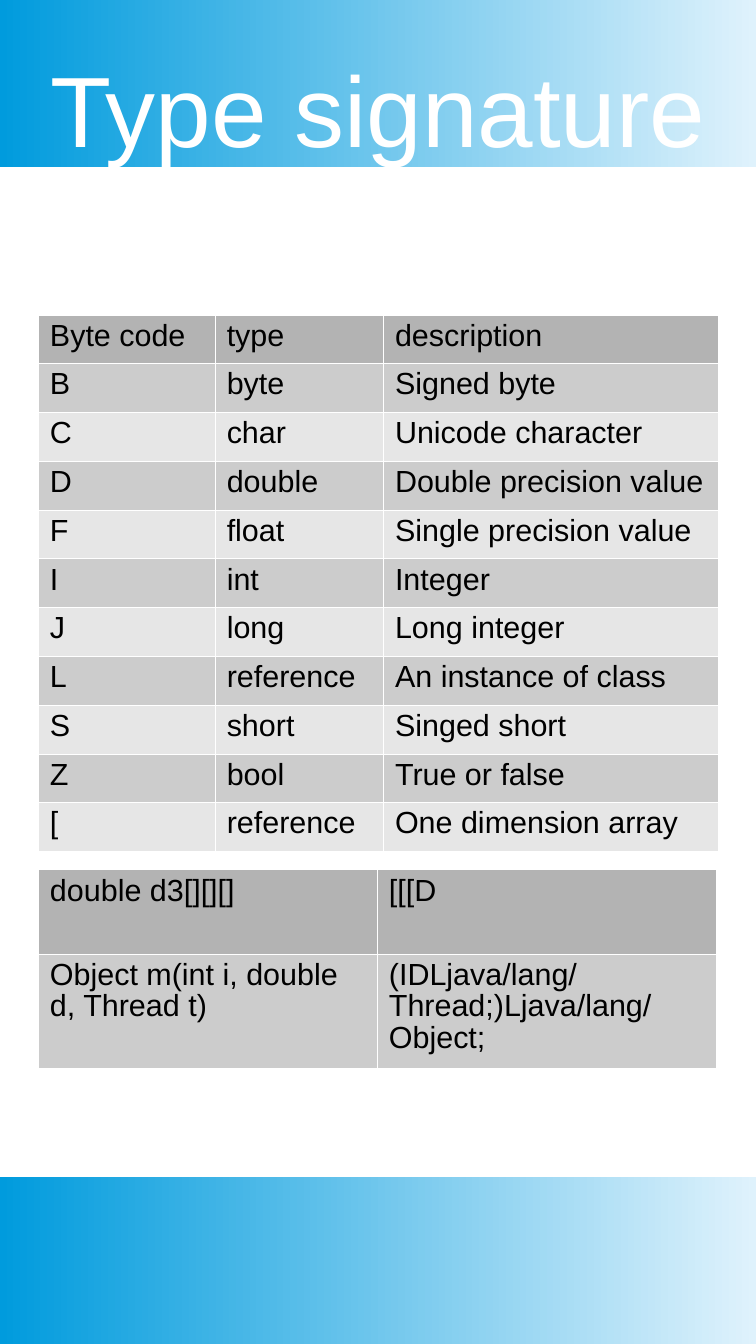
from dataclasses import dataclass

from lxml import etree
from pptx import Presentation
from pptx import util as u
from pptx.dml.color import RGBColor
from pptx.enum import shapes, text
from pptx.oxml import ns

WHITE = RGBColor(0xFF, 0xFF, 0xFF)
BLACK = RGBColor(0x00, 0x00, 0x00)
BLUE = RGBColor(0x00, 0x9B, 0xDD)
PALE_BLUE = RGBColor(0xDF, 0xF2, 0xFC)
HEADER_GRAY = RGBColor(0xB3, 0xB3, 0xB3)
BAND_GRAYS = (RGBColor(0xCC, 0xCC, 0xCC), RGBColor(0xE6, 0xE6, 0xE6))

FONT = "Arial"
LINE_SPACING = 0.93
SLIDE_WIDTH, SLIDE_HEIGHT = 6.2, 11.02
BAND_HEIGHT = 1.37
MARGIN = 0.31


@dataclass
class TableSpec:
    top: float
    columns: list[float]
    row_heights: list[float]
    rows: list[tuple[str, ...]]


TYPE_CODES = [
    ("Byte code", "type", "description"),
    ("B", "byte", "Signed byte"),
    ("C", "char", "Unicode character"),
    ("D", "double", "Double precision value"),
    ("F", "float", "Single precision value"),
    ("I", "int", "Integer"),
    ("J", "long", "Long integer"),
    ("L", "reference", "An instance of class"),
    ("S", "short", "Singed short"),
    ("Z", "bool", "True or false"),
    ("[", "reference", "One dimension array"),
]
EXAMPLES = [
    ("double d3[][][]", "[[[D"),
    ("Object m(int i, double d, Thread t)", "(IDLjava/lang/Thread;)Ljava/lang/Object;"),
]
TABLES = [
    TableSpec(2.58, [1.45, 1.38, 2.75], [0.4] * len(TYPE_CODES), TYPE_CODES),
    TableSpec(7.13, [2.78, 2.78], [0.69, 0.88], EXAMPLES),
]


def format_text(paragraph, size: float, color: RGBColor) -> None:
    paragraph.line_spacing = LINE_SPACING
    for run in paragraph.runs:
        run.font.name = FONT
        run.font.size = u.Pt(size)
        run.font.color.rgb = color


def add_band(slide, top: float) -> None:
    band = slide.shapes.add_shape(
        shapes.MSO_SHAPE.RECTANGLE, 0, u.Inches(top),
        u.Inches(SLIDE_WIDTH), u.Inches(BAND_HEIGHT))
    band.shadow.inherit = False
    band.line.fill.background()
    band.fill.gradient()
    band.fill.gradient_angle = 0
    for stop, color, position in zip(band.fill.gradient_stops, (BLUE, PALE_BLUE), (0, 1)):
        stop.color.rgb = color
        stop.position = position


def add_title(slide, title: str) -> None:
    box = slide.shapes.add_textbox(
        u.Inches(MARGIN), u.Inches(0.44), u.Inches(5.58), u.Inches(0.93))
    frame = box.text_frame
    frame.word_wrap = True
    frame.vertical_anchor = text.MSO_ANCHOR.MIDDLE
    frame.margin_left = frame.margin_right = frame.margin_bottom = 0
    frame.margin_top = u.Inches(0.06)
    frame.text = title
    paragraph = frame.paragraphs[0]
    paragraph.alignment = text.PP_ALIGN.CENTER
    format_text(paragraph, 59, WHITE)


def add_borders(cell) -> None:
    properties = cell._tc.get_or_add_tcPr()
    for index, side in enumerate(("lnL", "lnR", "lnT", "lnB")):
        line = etree.Element(ns.qn(f"a:{side}"), w=str(u.Pt(0.06)))
        fill = etree.SubElement(line, ns.qn("a:solidFill"))
        etree.SubElement(fill, ns.qn("a:srgbClr"), val=str(WHITE))
        properties.insert(index, line)


def add_table(slide, table_spec: TableSpec) -> None:
    table = slide.shapes.add_table(
        len(table_spec.rows), len(table_spec.columns),
        u.Inches(MARGIN), u.Inches(table_spec.top),
        u.Inches(sum(table_spec.columns)), u.Inches(sum(table_spec.row_heights))).table
    table.first_row = table.horz_banding = False
    for column, width in zip(table.columns, table_spec.columns):
        column.width = u.Inches(width)
    for row_index, values in enumerate(table_spec.rows):
        row = table.rows[row_index]
        row.height = u.Inches(table_spec.row_heights[row_index])
        color = BAND_GRAYS[(row_index - 1) % 2] if row_index else HEADER_GRAY
        for cell, value in zip(row.cells, values):
            cell.margin_left = cell.margin_right = u.Inches(0.1)
            cell.margin_top = cell.margin_bottom = u.Inches(0.05)
            cell.fill.solid()
            cell.fill.fore_color.rgb = color
            add_borders(cell)
            cell.text_frame.text = value
            format_text(cell.text_frame.paragraphs[0], 18, BLACK)


def main() -> None:
    presentation = Presentation()
    presentation.slide_width = u.Inches(SLIDE_WIDTH)
    presentation.slide_height = u.Inches(SLIDE_HEIGHT)
    slide = presentation.slides.add_slide(presentation.slide_layouts[6])

    # Blue bands at the top and bottom edges
    for top in (0, SLIDE_HEIGHT - BAND_HEIGHT):
        add_band(slide, top)

    # Title over the top band
    add_title(slide, "Type signature")

    # Type codes and signature examples
    for table_spec in TABLES:
        add_table(slide, table_spec)

    presentation.save("out.pptx")


if __name__ == "__main__":
    main()
